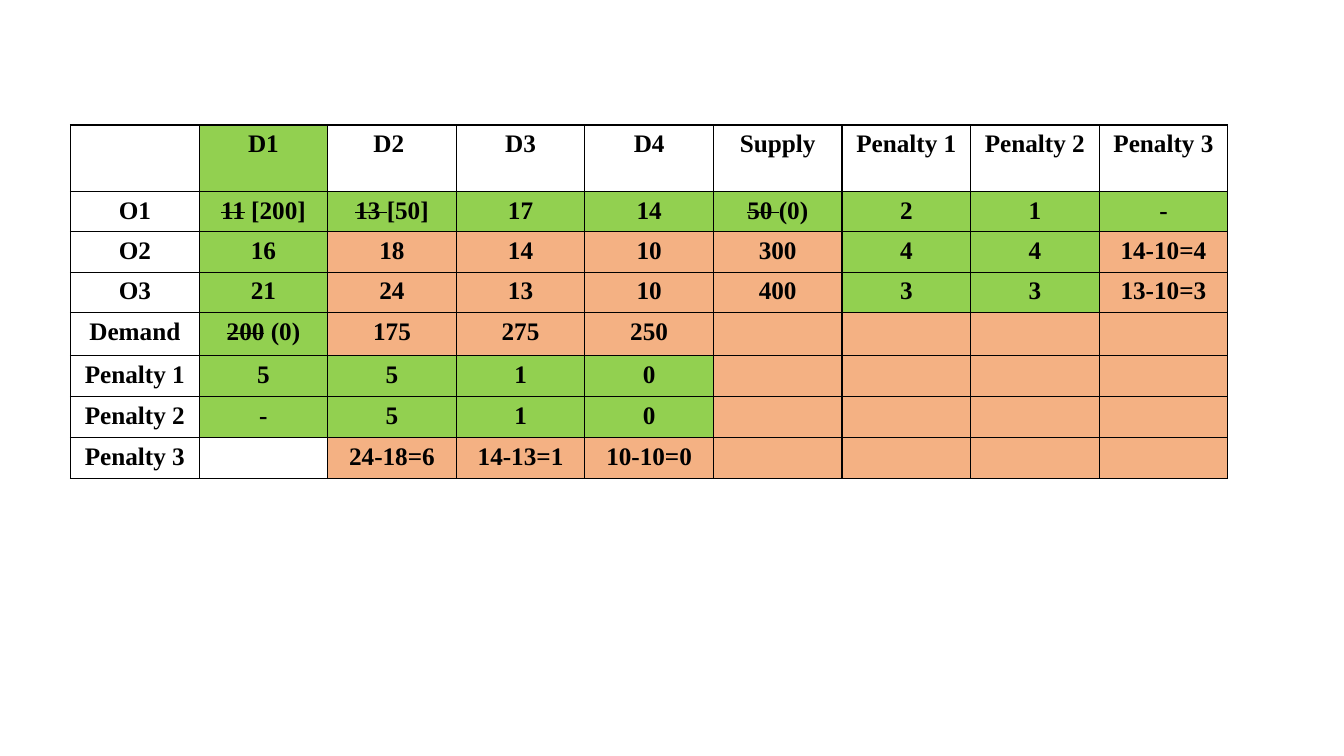
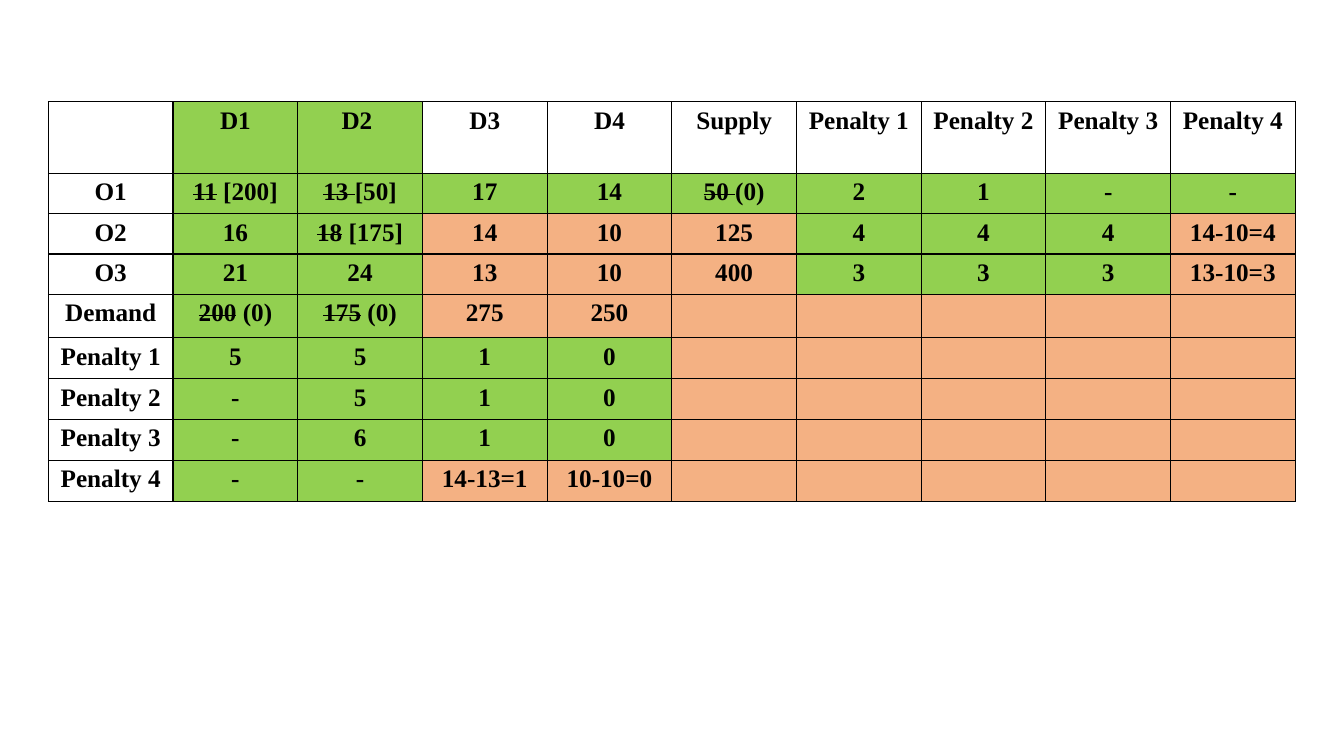
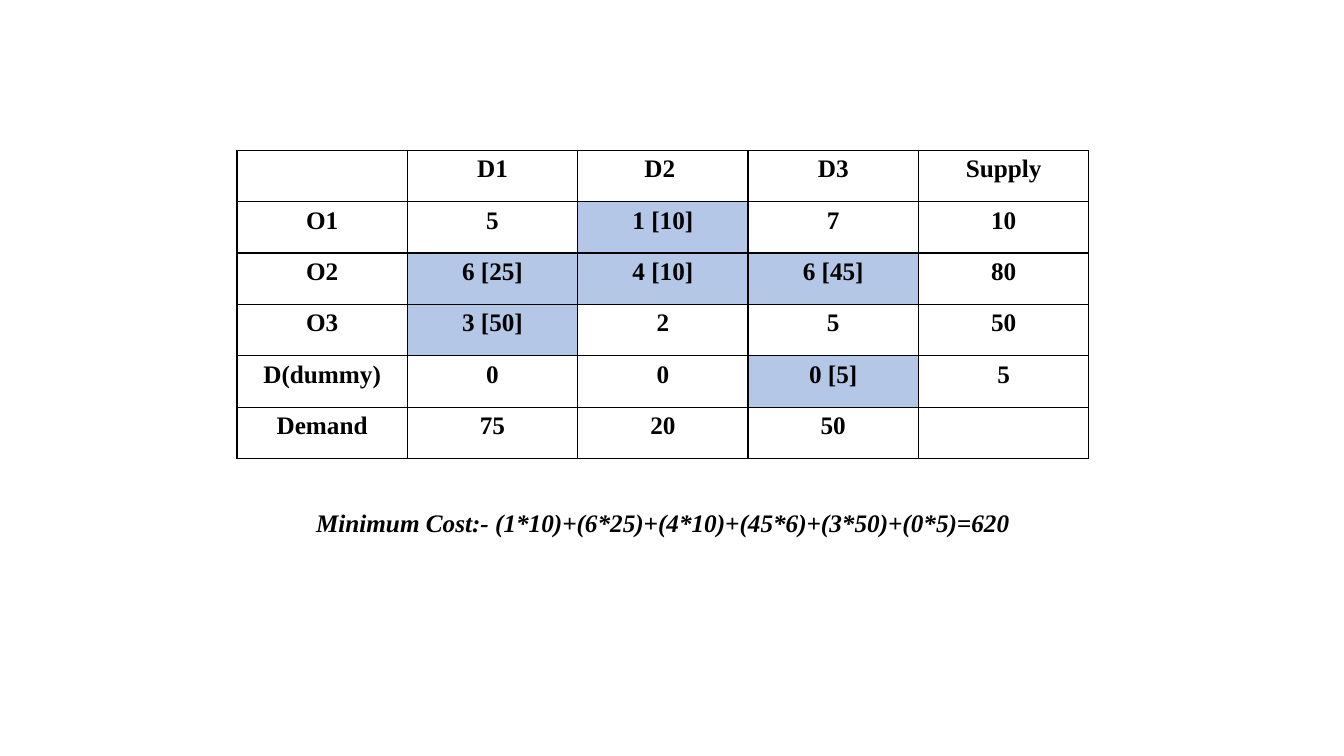
from lxml import etree
from pptx import Presentation
from pptx import util as u
from pptx.dml.color import RGBColor
from pptx.enum import text
from pptx.oxml import ns

COLORS = {"ink": "000000", "G": "92D050", "O": "F4B183", "B": "B4C7E7"}
FONT = "Times New Roman"


def style_paragraph(para, italic=False):
    para.alignment = text.PP_ALIGN.CENTER
    for span in para.runs:
        span.font.name = FONT
        span.font.size = u.Pt(18)
        span.font.bold = True
        span.font.italic = italic
        span.font.color.rgb = RGBColor.from_string(COLORS["ink"])


def add_borders(cell):
    properties = cell._tc.get_or_add_tcPr()
    for side in ("a:lnL", "a:lnR", "a:lnT", "a:lnB"):
        line = etree.SubElement(properties, ns.qn(side), w=str(u.Pt(1)))
        fill = etree.SubElement(line, ns.qn("a:solidFill"))
        etree.SubElement(fill, ns.qn("a:srgbClr"), val=COLORS["ink"])


# Text between tildes is struck through; fill letters are keys of COLORS.
tables = [
    {
        "left": 0.7, "top": 1.24, "width": 11.48,
        "heights": [0.66, 0.4, 0.4, 0.4, 0.43, 0.4, 0.4, 0.4],
        "rows": [
            ("|D1|D2 |D3|D4|Supply|Penalty 1|Penalty 2|Penalty 3", ".G......."),
            ("O1|~11~ [200]|~13 ~[50]|17|14|~50 ~(0)|2|1|-", ".GGGGGGGG"),
            ("O2|16|18|14|10|300|4|4|14-10=4", ".GOOOOGGO"),
            ("O3|21|24|13|10|400|3|3|13-10=3", ".GOOOOGGO"),
            ("Demand|~200~ (0)|175|275|250||||", ".GOOOOOOO"),
            ("Penalty 1|5|5|1|0||||", ".GGGGOOOO"),
            ("Penalty 2|-|5|1|0||||", ".GGGGOOOO"),
            ("Penalty 3||24-18=6|14-13=1|10-10=0||||", "..OOOOOOO"),
        ],
    },
    {
        "left": 0.48, "top": 1.01, "width": 12.37,
        "heights": [0.71, 0.4, 0.4, 0.4, 0.43, 0.4, 0.4, 0.4, 0.4],
        "rows": [
            ("|D1|D2 |D3|D4|Supply|Penalty 1|Penalty 2|Penalty 3|Penalty 4", ".GG......."),
            ("O1|~11~ [200]|~13 ~[50]|17|14|~50 ~(0)|2|1|-|-", ".GGGGGGGGG"),
            ("O2|16|~18~ [175]|14|10|125|4|4|4|14-10=4", ".GGOOOGGGO"),
            ("O3|21|24|13|10|400|3|3|3|13-10=3", ".GGOOOGGGO"),
            ("Demand|~200~ (0)|~175~ (0)|275|250|||||", ".GGOOOOOOO"),
            ("Penalty 1|5|5|1|0|||||", ".GGGGOOOOO"),
            ("Penalty 2|-|5|1|0|||||", ".GGGGOOOOO"),
            ("Penalty 3|-|6|1|0|||||", ".GGGGOOOOO"),
            ("Penalty 4|-|-|14-13=1|10-10=0|||||", ".GGOOOOOOO"),
        ],
    },
    {
        "left": 2.35, "top": 1.49, "width": 8.45,
        "heights": [0.51] * 6,
        "rows": [
            ("|D1|D2 |D3|Supply", "....."),
            ("O1|5|1 [10]|7|10", "..B.."),
            ("O2|6 [25]|4 [10]|6 [45]|80", ".BBB."),
            ("O3|3 [50]|2|5|50", ".B..."),
            ("D(dummy)|0|0|0 [5]|5", "...B."),
            ("Demand|75|20|50|", "....."),
        ],
    },
]

deck = Presentation()
deck.slide_width = u.Inches(13.33)
deck.slide_height = u.Inches(7.5)

for layout in tables:
    page = deck.slides.add_slide(deck.slide_layouts[6])
    rows = layout["rows"]
    count = len(rows[0][1])
    grid = page.shapes.add_table(
        len(rows), count, u.Inches(layout["left"]), u.Inches(layout["top"]),
        u.Inches(layout["width"]), u.Inches(sum(layout["heights"]))).table
    grid.first_row = False
    grid.horz_banding = False
    for column in grid.columns:
        column.width = u.Inches(layout["width"] / count)
    for row_index, (labels, fills) in enumerate(rows):
        grid.rows[row_index].height = u.Inches(layout["heights"][row_index])
        for column_index, (label, fill) in enumerate(zip(labels.split("|"), fills)):
            cell = grid.cell(row_index, column_index)
            add_borders(cell)
            if fill in COLORS:
                cell.fill.solid()
                cell.fill.fore_color.rgb = RGBColor.from_string(COLORS[fill])
            else:
                cell.fill.background()
            para = cell.text_frame.paragraphs[0]
            for part_index, part in enumerate(label.split("~")):
                if part:
                    span = para.add_run()
                    span.text = part
                    if part_index % 2:
                        span.font._element.set("strike", "sngStrike")
            style_paragraph(para)

box = page.shapes.add_textbox(u.Inches(2.35), u.Inches(4.98), u.Inches(8.45), u.Inches(0.4))
box.text_frame.word_wrap = True
box.text_frame.auto_size = text.MSO_AUTO_SIZE.SHAPE_TO_FIT_TEXT
box.text_frame.text = "Minimum Cost:- (1*10)+(6*25)+(4*10)+(45*6)+(3*50)+(0*5)=620"
style_paragraph(box.text_frame.paragraphs[0], italic=True)

deck.save("out.pptx")
